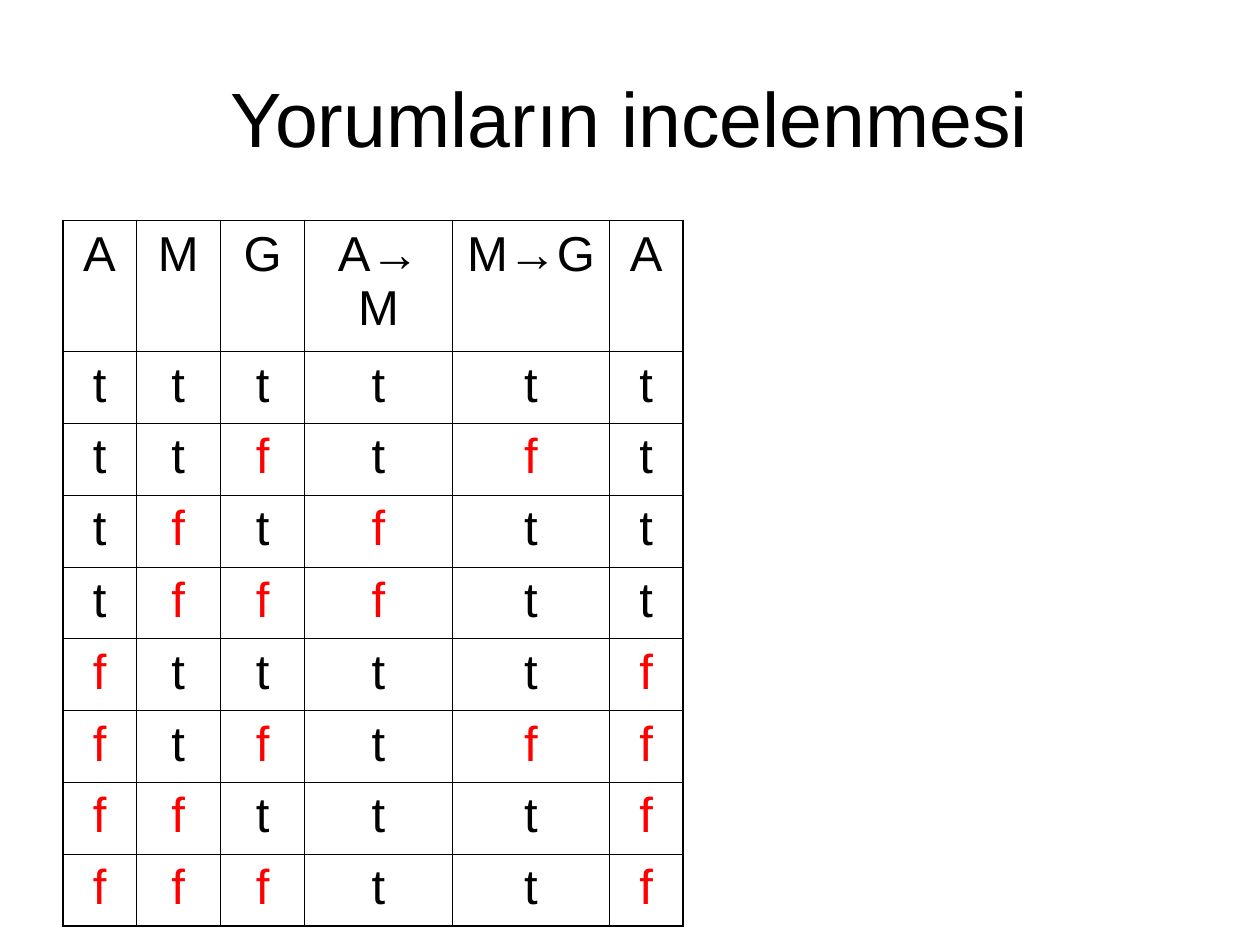
"""Build a slide with the truth table of A→M, M→G and A."""
import dataclasses
import itertools
import typing

import pptx
import pptx.dml.color
import pptx.enum.text
import pptx.oxml.ns
import pptx.util
from lxml import etree

PX = 9144


@dataclasses.dataclass(frozen=True)
class Theme:
    font: str = "Arial"
    black: str = "000000"
    red: str = "FF0000"
    title_size: int = 44
    cell_size: int = 28
    inner_line: float = 0.45
    outer_line: float = 1.08


@dataclasses.dataclass(frozen=True)
class Column:
    label: str
    width: int
    holds: typing.Callable[[bool, bool, bool], bool]


THEME = Theme()
LEFT, TOP = 50, 175
HEADER_HEIGHT, ROW_HEIGHT = 104, 57
COLUMNS = [
    Column("A", 58, lambda a, m, g: a),
    Column("M", 67, lambda a, m, g: m),
    Column("G", 67, lambda a, m, g: g),
    Column("A→M", 117, lambda a, m, g: not a or m),
    Column("M→G", 125, lambda a, m, g: not m or g),
    Column("A", 58, lambda a, m, g: a),
]


def px(n: int) -> pptx.util.Emu:
    return pptx.util.Emu(n * PX)


def write(tf, text: str, *, size: int, color: str = THEME.black) -> None:
    p = tf.paragraphs[0]
    p.alignment = pptx.enum.text.PP_ALIGN.CENTER
    r = p.add_run()
    r.text = text
    r.font.name = THEME.font
    r.font.size = pptx.util.Pt(size)
    r.font.color.rgb = pptx.dml.color.RGBColor.from_string(color)


def add_title(s, text: str) -> None:
    sp = s.shapes.add_textbox(px(50), px(30), px(900), px(125))
    tf = sp.text_frame
    tf.word_wrap = True
    tf.vertical_anchor = pptx.enum.text.MSO_ANCHOR.MIDDLE
    write(tf, text, size=THEME.title_size)


def add_border(cell, side: str, width: float) -> None:
    qn = pptx.oxml.ns.qn
    tc_pr = cell._tc.get_or_add_tcPr()
    ln = etree.SubElement(tc_pr, qn(f"a:ln{side}"), w=str(pptx.util.Pt(width)))
    fill = etree.SubElement(ln, qn("a:solidFill"))
    etree.SubElement(fill, qn("a:srgbClr"), val=THEME.black)


def add_truth_table(s, columns: list[Column]) -> None:
    cases = list(itertools.product([True, False], repeat=3))
    rows = [[c.label for c in columns]]
    rows += [["t" if c.holds(*case) else "f" for c in columns] for case in cases]
    width = sum(c.width for c in columns)
    height = HEADER_HEIGHT + ROW_HEIGHT * len(cases)
    table = s.shapes.add_table(
        len(rows), len(columns), px(LEFT), px(TOP), px(width), px(height)
    ).table
    table.first_row = table.horz_banding = False
    for j, column in enumerate(columns):
        table.columns[j].width = px(column.width)
    for i, row in enumerate(rows):
        table.rows[i].height = px(ROW_HEIGHT if i else HEADER_HEIGHT)
        for j, text in enumerate(row):
            cell = table.cell(i, j)
            outer = {
                "L": j == 0,
                "R": j == len(columns) - 1,
                "T": i == 0,
                "B": i == len(rows) - 1,
            }
            for side, is_outer in outer.items():
                add_border(cell, side, THEME.outer_line if is_outer else THEME.inner_line)
            cell.fill.background()
            color = THEME.red if text == "f" else THEME.black
            write(cell.text_frame, text, size=THEME.cell_size, color=color)


def main() -> None:
    prs = pptx.Presentation()
    prs.slide_width, prs.slide_height = px(1000), px(750)
    s = prs.slides.add_slide(prs.slide_layouts[6])
    add_title(s, "Yorumların incelenmesi")
    add_truth_table(s, COLUMNS)
    prs.save("out.pptx")


if __name__ == "__main__":
    main()
